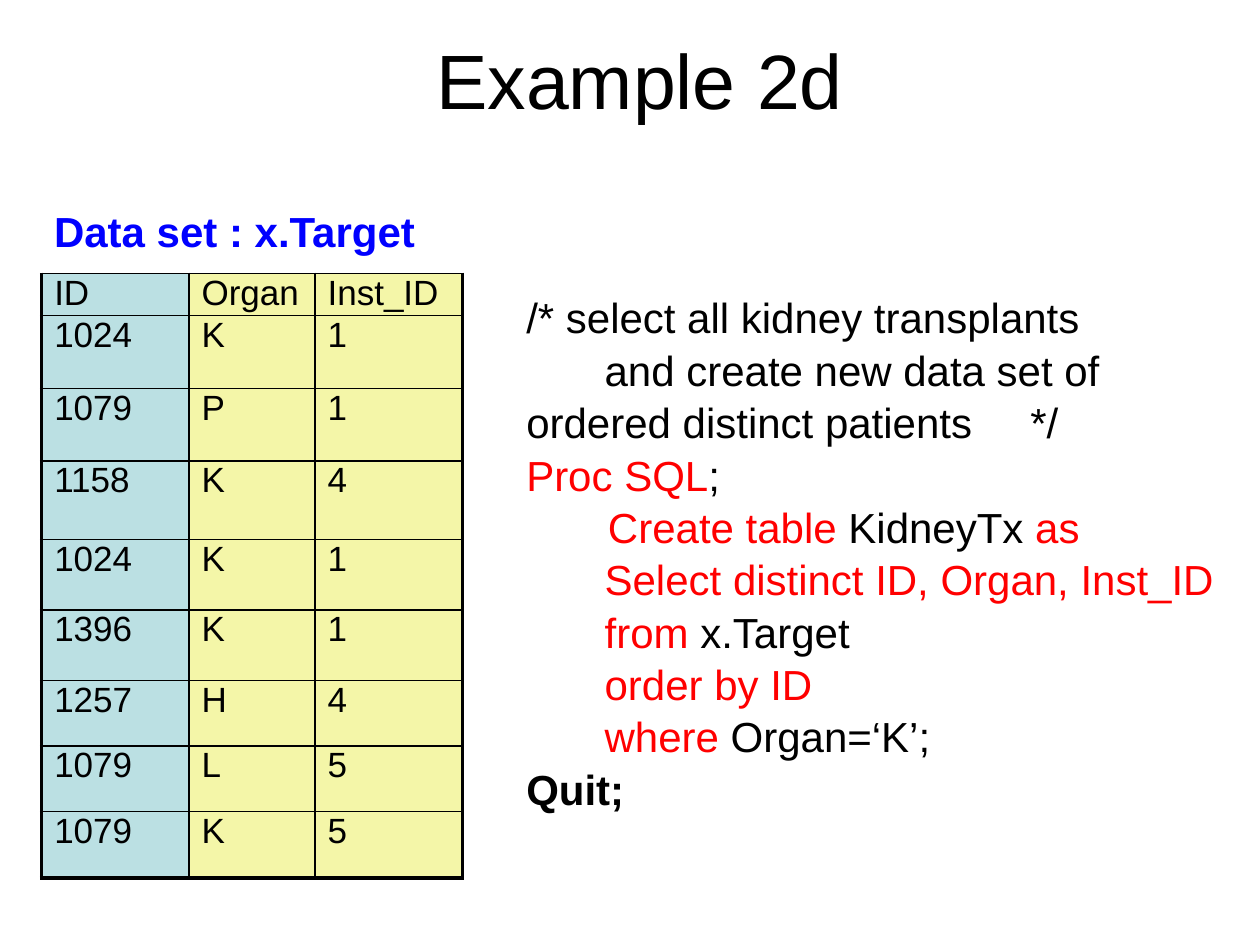
"""Build the Example 2d slide: a data set table beside the SQL that queries it."""
from dataclasses import dataclass
from typing import NamedTuple

from lxml import etree
from pptx import Presentation
from pptx import util as u
from pptx.dml.color import RGBColor
from pptx.enum import text
from pptx.oxml import ns


@dataclass(frozen=True)
class Theme:
    font: str = "Arial"
    ink: str = "000000"
    keyword: str = "FF0000"
    caption: str = "0000FF"
    key_fill: str = "BBE0E3"
    value_fill: str = "F4F6A8"
    title_size: int = 44
    body_size: int = 24
    cell_size: int = 20
    thin: float = 1
    thick: float = 2.25


class Box(NamedTuple):
    left: float
    top: float
    width: float
    height: float

    def lengths(self) -> list:
        return [u.Cm(value) for value in self]


class Span(NamedTuple):
    words: str
    color: str = "000000"
    bold: bool = False


THEME = Theme()
RED = THEME.keyword
CODE_TABS = (1.58, 10.16)
CODE_LINE_SPACING = 1.04
CODE = [
    [Span("/* select all kidney transplants")],
    [Span("\tand create new data set of ordered distinct patients\t*/")],
    [Span("Proc SQL", RED), Span(";")],
    [Span("       "), Span("Create table ", RED), Span("KidneyTx "), Span("as", RED)],
    [Span("\t"), Span("Select distinct ID, Organ, Inst_ID", RED)],
    [Span("\t"), Span("from ", RED), Span("x.Target")],
    [Span("\t"), Span("order by ID", RED)],
    [Span("\t"), Span("where ", RED), Span("Organ=‘K’;")],
    [Span("Quit;", bold=True)],
]
COLUMN_WIDTHS = (2.97, 2.54, 2.97)
ROW_HEIGHTS = (0.84, 1.47, 1.47, 1.58, 1.42, 1.42, 1.32, 1.32, 1.34)
RECORDS = [
    ("ID", "Organ", "Inst_ID"),
    ("1024", "K", "1"),
    ("1079", "P", "1"),
    ("1158", "K", "4"),
    ("1024", "K", "1"),
    ("1396", "K", "1"),
    ("1257", "H", "4"),
    ("1079", "L", "5"),
    ("1079", "K", "5"),
]


def add_spans(paragraph, spans: list[Span], size: int) -> None:
    for span in spans:
        run = paragraph.add_run()
        run.text = span.words
        run.font.name = THEME.font
        run.font.size = u.Pt(size)
        run.font.bold = span.bold
        run.font.color.rgb = RGBColor.from_string(span.color)


def add_text(slide, box: Box, lines: list[list[Span]], size: int, wrap: bool = True):
    frame = slide.shapes.add_textbox(*box.lengths()).text_frame
    frame.word_wrap = wrap
    for index, spans in enumerate(lines):
        paragraph = frame.paragraphs[0] if index == 0 else frame.add_paragraph()
        add_spans(paragraph, spans, size)
    return frame


def set_tabs(paragraph, positions: tuple[float, ...]) -> None:
    tab_list = etree.SubElement(paragraph._p.get_or_add_pPr(), ns.qn("a:tabLst"))
    for position in positions:
        etree.SubElement(tab_list, ns.qn("a:tab"), pos=str(u.Cm(position)), algn="l")


def set_borders(cell, widths: dict[str, float]) -> None:
    properties = cell._tc.get_or_add_tcPr()
    for index, (side, width) in enumerate(widths.items()):
        line = etree.Element(ns.qn(f"a:ln{side}"), w=str(u.Pt(width)))
        fill = etree.SubElement(line, ns.qn("a:solidFill"))
        etree.SubElement(fill, ns.qn("a:srgbClr"), val=THEME.ink)
        properties.insert(index, line)


def add_data_table(slide, left: float, top: float) -> None:
    box = Box(left, top, sum(COLUMN_WIDTHS), sum(ROW_HEIGHTS))
    last_row, last_column = len(RECORDS) - 1, len(COLUMN_WIDTHS) - 1
    table = slide.shapes.add_table(last_row + 1, last_column + 1, *box.lengths()).table
    table.first_row = table.horz_banding = False
    for column, width in zip(table.columns, COLUMN_WIDTHS):
        column.width = u.Cm(width)
    for row, height in zip(table.rows, ROW_HEIGHTS):
        row.height = u.Cm(height)
    for row_index, record in enumerate(RECORDS):
        for column_index, value in enumerate(record):
            cell = table.cell(row_index, column_index)
            cell.margin_top = cell.margin_bottom = 0
            cell.fill.solid()
            fill = THEME.key_fill if column_index == 0 else THEME.value_fill
            cell.fill.fore_color.rgb = RGBColor.from_string(fill)
            add_spans(cell.text_frame.paragraphs[0], [Span(value)], THEME.cell_size)
            set_borders(cell, {
                "L": THEME.thick if column_index == 0 else THEME.thin,
                "R": THEME.thick if column_index == last_column else THEME.thin,
                "T": THEME.thin,
                "B": THEME.thick if row_index == last_row else THEME.thin,
            })


def main() -> None:
    presentation = Presentation()
    presentation.slide_width, presentation.slide_height = u.Cm(25.4), u.Cm(19.05)
    slide = presentation.slides.add_slide(presentation.slide_layouts[6])

    title = add_text(slide, Box(1.47, 0, 22.86, 3.18), [[Span("Example 2d")]], THEME.title_size)
    title.vertical_anchor = text.MSO_ANCHOR.MIDDLE
    title.paragraphs[0].alignment = text.PP_ALIGN.CENTER

    add_data_table(slide, 0.84, 5.51)

    code = add_text(slide, Box(10.36, 5.72, 14.81, 12.57), CODE, THEME.body_size)
    for paragraph in code.paragraphs:
        set_tabs(paragraph, CODE_TABS)
        paragraph.line_spacing = CODE_LINE_SPACING

    caption = [[Span("Data set : x.Target", THEME.caption, True)]]
    add_text(slide, Box(0.84, 4.01, 7.87, 1.3), caption, THEME.body_size, wrap=False)

    presentation.save("out.pptx")


if __name__ == "__main__":
    main()
